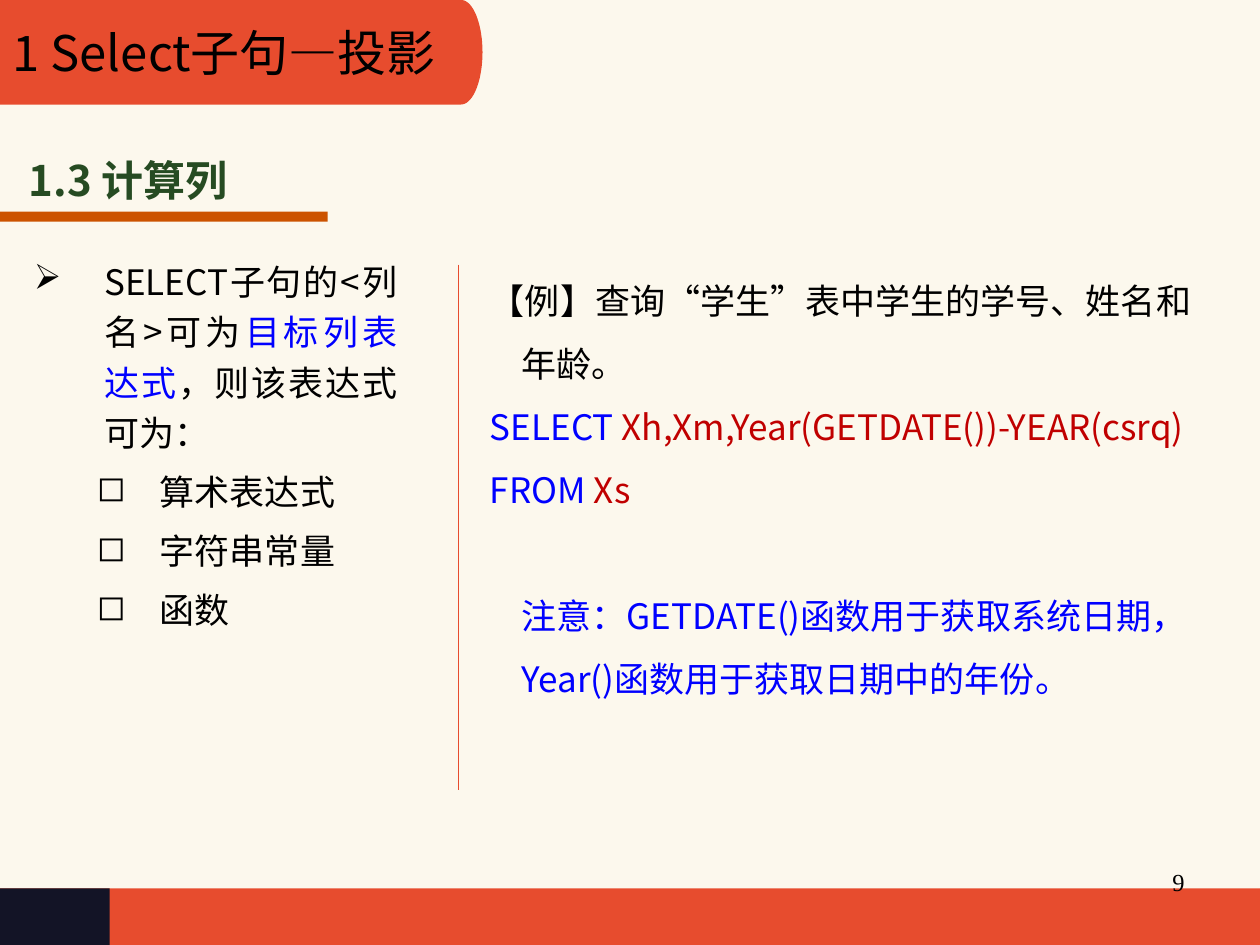
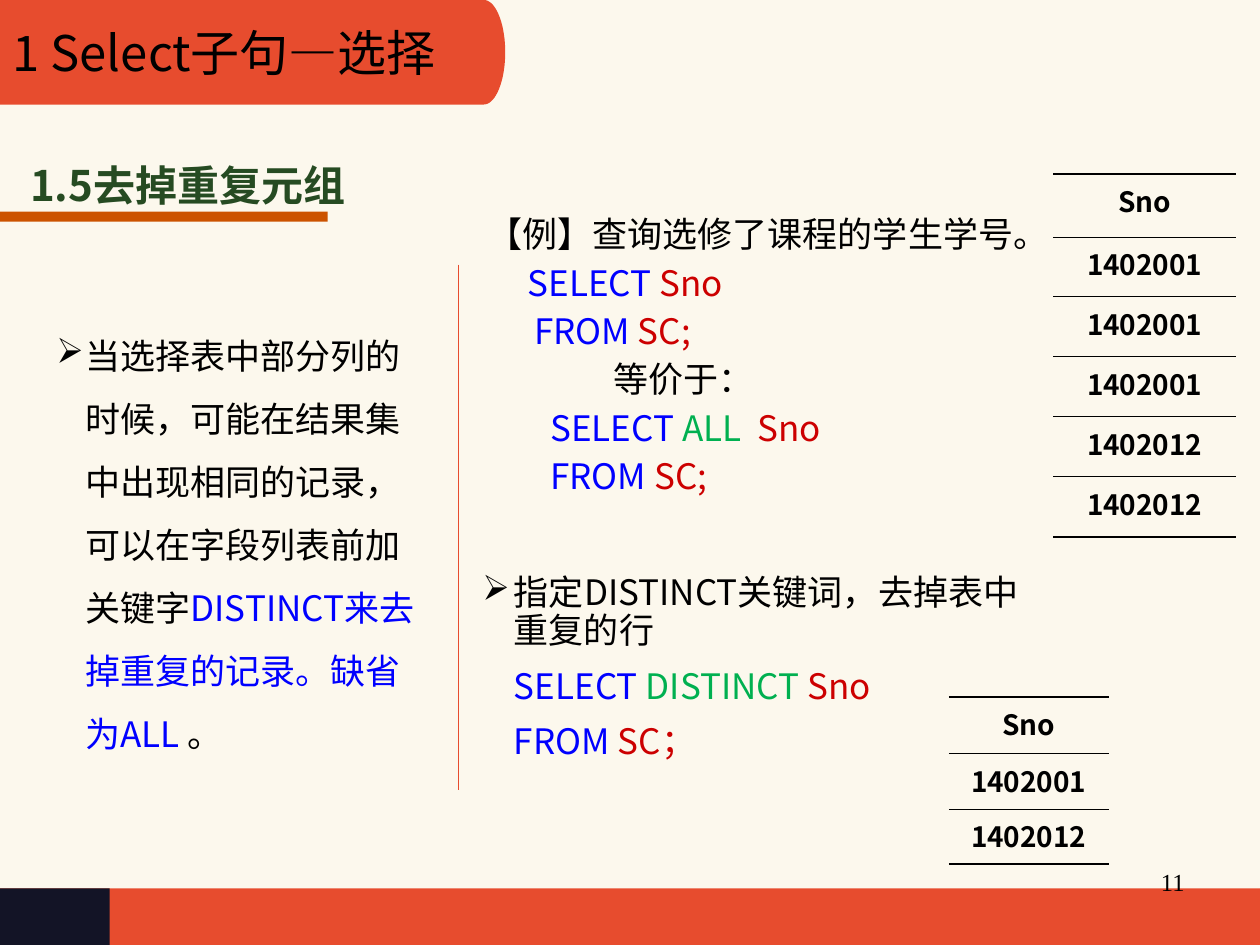
"""Builds two lecture slides on the SQL SELECT clause."""
import math

import lxml.etree
import pptx
import pptx.dml.color
import pptx.enum.shapes
import pptx.enum.text
import pptx.oxml.ns
import pptx.util

Inches = pptx.util.Inches
Pt = pptx.util.Pt
RGBColor = pptx.dml.color.RGBColor
Align = pptx.enum.text.PP_ALIGN
Anchor = pptx.enum.text.MSO_ANCHOR
qn = pptx.oxml.ns.qn

CREAM = RGBColor(0xFC, 0xF8, 0xED)
RED = RGBColor(0xE7, 0x4C, 0x2E)
NAVY = RGBColor(0x13, 0x14, 0x26)
ORANGE = RGBColor(0xCC, 0x53, 0x00)
GREEN = RGBColor(0x26, 0x4B, 0x22)
BLACK = RGBColor(0, 0, 0)
KEYWORD = RGBColor(0, 0, 0xFF)
OPTION = RGBColor(0x00, 0xB0, 0x50)
DARK_RED = RGBColor(0xC0, 0, 0)
NAME_RED = RGBColor(0xCC, 0, 0)
FONT = "Noto Sans CJK SC"
NUMBER_FONT = "Times New Roman"
NO_TABLE_STYLE = "{2D5ABB26-0587-4C30-8999-92F81FD0307C}"
BANNER_HEIGHT = 0.83


def add_child(parent, tag, **attributes):
    """Append an XML child such as a:ea and return it."""
    return lxml.etree.SubElement(parent, qn(tag), attributes)


def write_para(frame, spans, size=20, font=FONT, color=BLACK, bold=False, align=Align.LEFT,
               spacing=1.0, before=0, margin=0, indent=0, bullet=None, level=0):
    """Write a string or (text, colour) spans as the next paragraph of a frame."""
    first = frame.paragraphs[0]
    para = frame.add_paragraph() if first.runs else first
    para.alignment, para.level = align, level
    para.line_spacing, para.space_before = spacing, Pt(before)
    properties = para._p.get_or_add_pPr()
    properties.set("marL", str(Inches(margin)))
    properties.set("indent", str(Inches(indent)))
    if bullet:
        add_child(add_child(properties, "a:buClr"), "a:srgbClr", val=str(BLACK))
        add_child(properties, "a:buChar", char=bullet)
    else:
        add_child(properties, "a:buNone")
    for text, tint in [(spans, color)] if isinstance(spans, str) else spans:
        span = para.add_run()
        span.text = text
        span.font.name, span.font.size = font, Pt(size)
        span.font.bold, span.font.color.rgb = bold, tint
        add_child(span._r.get_or_add_rPr(), "a:ea", typeface=font)


def add_text_box(page, left, top, width, height):
    """Add a wrapping text box and return its frame."""
    box = page.shapes.add_textbox(Inches(left), Inches(top), Inches(width), Inches(height))
    box.text_frame.word_wrap = True
    return box.text_frame


def paint(shape, color):
    """Give a shape a flat fill without line or shadow."""
    shape.fill.solid()
    shape.fill.fore_color.rgb = color
    shape.line.fill.background()
    shape.shadow.inherit = False


def add_band(page, left, top, width, height, color):
    """Add a plain rectangle."""
    band = page.shapes.add_shape(pptx.enum.shapes.MSO_SHAPE.RECTANGLE, Inches(left),
                                 Inches(top), Inches(width), Inches(height))
    paint(band, color)


def add_banner_title(page, text, width):
    """Put the title on a red banner with a bulging right end."""
    bulge, half = 0.17, BANNER_HEIGHT / 2
    angles = [math.radians(degree) for degree in range(-90, 91, 5)]
    curve = [(Inches(width - bulge + bulge * math.cos(angle)),
              Inches(half + half * math.sin(angle))) for angle in angles]
    builder = page.shapes.build_freeform(0, 0)
    builder.add_line_segments(curve + [(0, Inches(BANNER_HEIGHT))], close=True)
    banner = builder.convert_to_shape()
    paint(banner, RED)
    title = page.shapes.title
    title.left, title.top = 0, 0
    title.width, title.height = Inches(width), Inches(BANNER_HEIGHT)
    title.element.addprevious(banner.element)
    frame = title.text_frame
    frame.auto_size = pptx.enum.text.MSO_AUTO_SIZE.NONE
    frame.word_wrap, frame.vertical_anchor = True, Anchor.MIDDLE
    write_para(frame, text, size=28)


def add_divider(page):
    """Add the thin vertical line between the two columns."""
    line = page.shapes.add_connector(pptx.enum.shapes.MSO_CONNECTOR.STRAIGHT, Inches(3.64),
                                     Inches(2.1), Inches(3.64), Inches(6.27))
    line.line.color.rgb, line.line.width = RED, Pt(0.5)
    add_child(line.element.spPr, "a:effectLst")


def add_result_table(page, left, top, width, heights, values):
    """Add a one-column query result with horizontal rules only."""
    frame = page.shapes.add_table(len(values), 1, Inches(left), Inches(top),
                                  Inches(width), Inches(sum(heights)))
    table = frame.table
    table.first_row = table.horz_banding = False
    next(frame.element.iter(qn("a:tableStyleId"))).text = NO_TABLE_STYLE
    last = len(values) - 1
    for index, (height, value) in enumerate(zip(heights, values)):
        table.rows[index].height = Inches(height)
        cell = table.cell(index, 0)
        write_para(cell.text_frame, value, size=16, bold=True, align=Align.CENTER, before=4)
        for tag, outer in (("a:lnT", index == 0), ("a:lnB", index == last)):
            edge = add_child(cell._tc.get_or_add_tcPr(), tag, w=str(Pt(1.08 if outer else 0.45)))
            add_child(add_child(edge, "a:solidFill"), "a:srgbClr", val=str(BLACK))
        cell.fill.background()


def start_page(deck, title, banner_width, number):
    """Add a slide with background, footer bands, number, banner and divider."""
    page = deck.slides.add_slide(deck.slide_layouts[5])
    page.background.fill.solid()
    page.background.fill.fore_color.rgb = CREAM
    add_band(page, 0, 7.05, 10, 0.45, RED)
    add_band(page, 0, 7.05, 0.87, 0.45, NAVY)
    write_para(add_text_box(page, 7.17, 6.83, 2.33, 0.52), number, size=14,
               font=NUMBER_FONT, align=Align.RIGHT)
    add_banner_title(page, title, banner_width)
    add_divider(page)
    return page


def add_heading(page, text, left, top, spacing=1.0):
    """Add the underlined section heading."""
    write_para(add_text_box(page, left, top, 3.41, 0.5), text, size=24, color=GREEN,
               bold=True, spacing=spacing)
    add_band(page, 0, 1.68, 2.6, 0.08, ORANGE)


def build_computed_columns(deck):
    """Build the slide on computed columns."""
    page = start_page(deck, "1 Select子句—投影", 3.83, "9")
    add_heading(page, "1.3 计算列", 0.13, 1.18)
    kinds = add_text_box(page, 0.17, 1.95, 3.08, 4.76)
    write_para(kinds, [("SELECT子句的<列名>可为", BLACK), ("目标列表达式", KEYWORD),
                       ("，则该表达式可为：", BLACK)], align=Align.JUSTIFY, spacing=1.2,
               before=10, margin=0.56, indent=-0.56, bullet="➢")
    for kind in ("算术表达式", "字符串常量", "函数"):
        write_para(kinds, kind, align=Align.JUSTIFY, spacing=1.2, before=5,
                   margin=1, indent=-0.5, bullet="◻", level=1)
    example = add_text_box(page, 3.79, 2, 6.01, 4.77)
    for spans in ("【例】查询“学生”表中学生的学号、姓名和年龄。",
                  [("SELECT", KEYWORD), (" Xh,Xm,Year(GETDATE())-YEAR(csrq)", DARK_RED)],
                  [("FROM", KEYWORD), (" Xs", DARK_RED)]):
        write_para(example, spans, spacing=1.5, margin=0.25, indent=-0.25)
    write_para(example, "注意：GETDATE()函数用于获取系统日期，Year()函数用于获取日期中的年份。",
               color=KEYWORD, spacing=1.5, before=36, margin=0.25)


def build_distinct_rows(deck):
    """Build the slide on removing duplicate rows."""
    page = start_page(deck, "1 Select子句—选择", 4.01, "11")
    add_heading(page, "1.5去掉重复元组", 0.14, 1.14, spacing=1.2)
    reason = add_text_box(page, 0.35, 2.44, 3.1, 4.76)
    write_para(reason, [("当选择表中部分列的时候，可能在结果集中出现相同的记录，可以在字段列表前加关键字", BLACK),
                        ("DISTINCT来去掉重复的记录。缺省为ALL ", KEYWORD), ("。", BLACK)],
               spacing=1.5, margin=0.23, indent=-0.23, bullet="➢")
    example = add_text_box(page, 3.77, 1.59, 4.56, 2.49)
    source = [("FROM", KEYWORD), (" SC;", NAME_RED)]
    for margin, spans in (
            (0, "【例】查询选修了课程的学生学号。"),
            (0.32, [("SELECT", KEYWORD), (" Sno", NAME_RED)]),
            (0.37, source),
            (1, "等价于："),
            (0.5, [("SELECT ", KEYWORD), ("ALL ", OPTION), (" Sno", NAME_RED)]),
            (0.5, source)):
        write_para(example, spans, spacing=1.15, margin=margin)
    distinct = add_text_box(page, 3.73, 4.52, 4.51, 1.64)
    write_para(distinct, "指定DISTINCT关键词，去掉表中重复的行", spacing=0.9, before=10,
               margin=0.25, indent=-0.25, bullet="➢")
    for spans in ([("SELECT ", KEYWORD), ("DISTINCT ", OPTION), ("Sno", NAME_RED)],
                  [("FROM", KEYWORD), (" SC；", NAME_RED)]):
        write_para(distinct, spans, spacing=0.9, before=10, margin=0.25)
    add_result_table(page, 8.36, 1.38, 1.45, [0.5] + [0.476] * 5,
                     ["Sno"] + ["1402001"] * 3 + ["1402012"] * 2)
    add_result_table(page, 7.53, 5.53, 1.27, [0.45, 0.44, 0.44],
                     ["Sno", "1402001", "1402012"])


def main():
    """Build and save the deck."""
    deck = pptx.Presentation()
    deck.slide_width, deck.slide_height = Inches(10), Inches(7.5)
    build_computed_columns(deck)
    build_distinct_rows(deck)
    deck.save("out.pptx")


if __name__ == "__main__":
    main()
